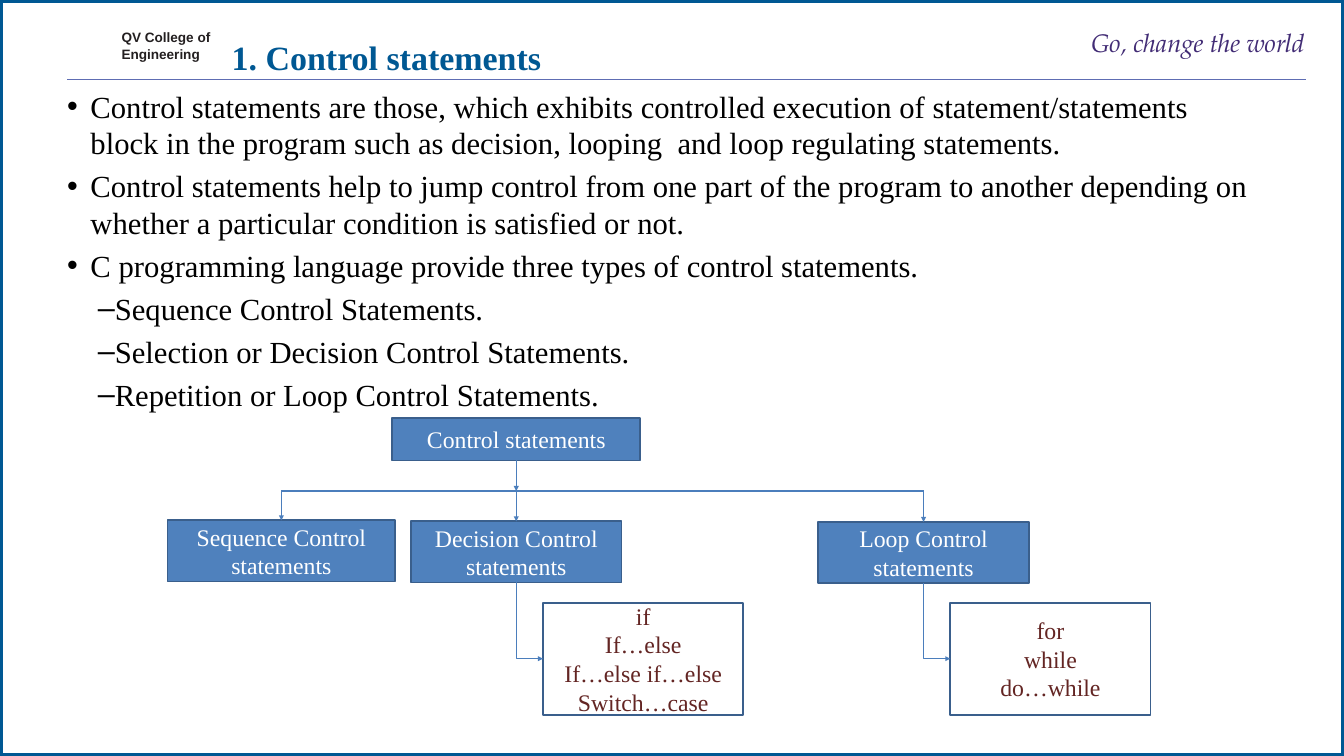
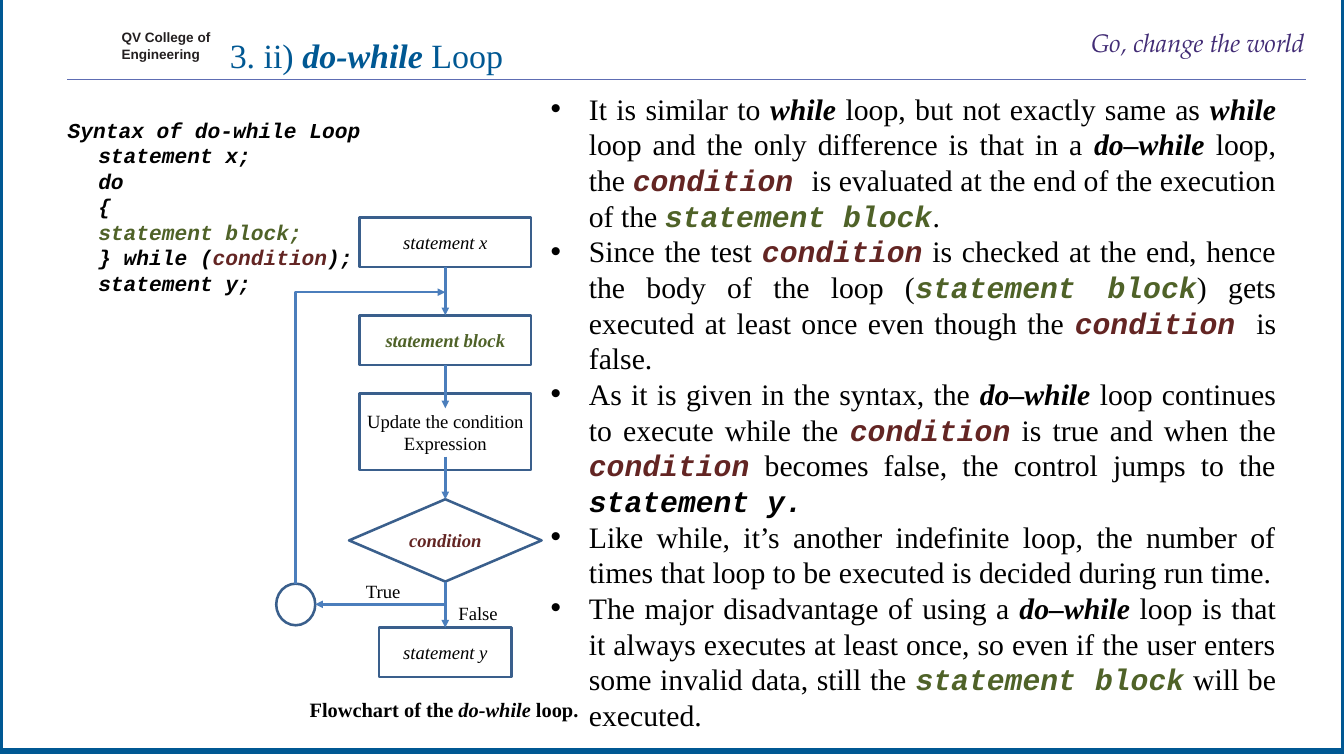
import pptx
import pptx.util
import pptx.dml.color
import pptx.enum.shapes
import pptx.enum.text
import pptx.oxml.ns
from lxml import etree

Pt = pptx.util.Pt
qn = pptx.oxml.ns.qn
SHAPE = pptx.enum.shapes.MSO_SHAPE
CONNECTOR = pptx.enum.shapes.MSO_CONNECTOR
ALIGN = pptx.enum.text.PP_ALIGN
ANCHOR = pptx.enum.text.MSO_ANCHOR

WIDTH, HEIGHT = 1583.28, 890.64
SERIF, MONO = "Times New Roman", "Courier New"
COLORS = {
    "white": "FFFFFF", "black": "000000", "navy": "005893", "rule": "5E6DB3",
    "charcoal": "231F20", "violet": "422C75", "blue": "4F81BD",
    "edge": "3A5F8C", "arrow": "4B7EBC", "maroon": "632523", "olive": "4F6228",
}
VOICES = {
    "plain": (SERIF, "black", False, False),
    "bold": (SERIF, "black", True, False),
    "italic": (SERIF, "black", False, True),
    "strong": (SERIF, "black", True, True),
    "node": (SERIF, "white", False, False),
    "choice": (SERIF, "maroon", False, False),
    "condition node": (SERIF, "maroon", True, True),
    "block node": (SERIF, "olive", True, True),
    "code": (MONO, "black", True, True),
    "condition": (MONO, "maroon", True, True),
    "block": (MONO, "olive", True, True),
    "title": (SERIF, "navy", False, False),
    "bold title": (SERIF, "navy", True, False),
    "strong title": (SERIF, "navy", True, True),
    "slogan": ("TeX Gyre Pagella", "violet", False, True),
    "college": ("Arial", "charcoal", True, False),
}


def rgb(name):
    return pptx.dml.color.RGBColor.from_string(COLORS[name])


class Deck:
    def __init__(self):
        self.presentation = pptx.Presentation()
        self.presentation.slide_width = Pt(WIDTH)
        self.presentation.slide_height = Pt(HEIGHT)
        self.slide = None

    def start(self, title, title_left, title_top, frame_top=0):
        layout = self.presentation.slide_layouts[1]
        self.slide = self.presentation.slides.add_slide(layout)
        frame = self.box(0, frame_top, WIDTH, HEIGHT, fill="white",
                         edge="navy", weight=6)
        self.slide.shapes._spTree.insert(2, frame._element)
        self.line((79.2, 93.6), (1538, 93.6), 1.25, color="rule", head=False)
        college = self.text(143.3, 34.6, 108, 39, ["QV College of", "Engineering"],
                            16, "college", inset=(0, 1.4), wrap=False)
        for paragraph in college.text_frame.paragraphs:
            paragraph.line_spacing = Pt(17.9)
            paragraph.space_before = Pt(1.4)
        self.text(1247.8, 32.4, 289.4, 36.7, ["Go, change the world"], 30,
                  "slogan", ALIGN.RIGHT, inset=(0, 0))
        self.place(self.slide.shapes.title, title_left, title_top, 960, 50)
        self.set_text(self.slide.shapes.title, [title], 40, "title", ALIGN.LEFT, (0, 0))

    def place(self, shape, left, top, width, height):
        shape.left, shape.top = Pt(left), Pt(top)
        shape.width, shape.height = Pt(width), Pt(height)

    def set_text(self, shape, paragraphs, size, voice, align, inset=(7.2, 3.6),
                 anchor=ANCHOR.TOP, wrap=True):
        frame = shape.text_frame
        frame.auto_size = pptx.enum.text.MSO_AUTO_SIZE.NONE
        frame.word_wrap = wrap
        frame.vertical_anchor = anchor
        frame.margin_left = frame.margin_right = Pt(inset[0])
        frame.margin_top = frame.margin_bottom = Pt(inset[1])
        for number, content in enumerate(paragraphs):
            paragraph = frame.add_paragraph() if number else frame.paragraphs[0]
            paragraph.alignment = align
            runs = [(content, voice)] if isinstance(content, str) else content
            for wording, run_voice in runs:
                run = paragraph.add_run()
                run.text = wording
                font, color, bold, italic = VOICES[run_voice]
                run.font.name = font
                run.font.size = Pt(size)
                run.font.bold, run.font.italic = bold, italic
                run.font.color.rgb = rgb(color)

    def text(self, left, top, width, height, paragraphs, size, voice="plain",
             align=ALIGN.LEFT, inset=(7.2, 3.6), wrap=True):
        box = self.slide.shapes.add_textbox(Pt(left), Pt(top), Pt(width), Pt(height))
        self.set_text(box, paragraphs, size, voice, align, inset, wrap=wrap)
        return box

    def indent(self, paragraph, margin, hanging=0, bullet=None):
        properties = paragraph._p.get_or_add_pPr()
        properties.set("marL", str(Pt(margin)))
        properties.set("indent", str(Pt(-hanging)))
        if bullet:
            etree.SubElement(properties, qn("a:buChar")).set("char", bullet)

    def bullets(self, left, top, width, height, items, size, align, hanging,
                subitems=(), inset=(0, 0), gap=None):
        body = self.slide.placeholders[1]
        self.place(body, left, top, width, height)
        self.set_text(body, [*items, *subitems], size, "plain", align, inset)
        for number, paragraph in enumerate(body.text_frame.paragraphs):
            if gap is not None:
                paragraph.space_before = Pt(gap)
            if number < len(items):
                self.indent(paragraph, hanging, hanging, "•")
            else:
                paragraph.level = 1
                self.indent(paragraph, 36, 0, "–")

    def box(self, left, top, width, height, paragraphs=(), voice="plain", size=28,
            fill=None, edge="edge", weight=2, kind=SHAPE.RECTANGLE):
        shape = self.slide.shapes.add_shape(kind, Pt(left), Pt(top),
                                            Pt(width), Pt(height))
        shape.shadow.inherit = False
        if fill:
            shape.fill.solid()
            shape.fill.fore_color.rgb = rgb(fill)
        else:
            shape.fill.background()
        shape.line.color.rgb = rgb(edge)
        shape.line.width = Pt(weight)
        self.set_text(shape, paragraphs, size, voice, ALIGN.CENTER,
                      anchor=ANCHOR.MIDDLE)
        return shape

    def style(self, connector, weight, color="arrow", head=True):
        connector.line.color.rgb = rgb(color)
        connector.line.width = Pt(weight)
        if head:
            tip = etree.SubElement(connector.line._get_or_add_ln(), qn("a:tailEnd"))
            tip.set("type", "triangle")
        etree.SubElement(connector._element.spPr, qn("a:effectLst"))

    def line(self, start, end, weight, above=None, below=None, color="arrow", head=True):
        connector = self.slide.shapes.add_connector(
            CONNECTOR.STRAIGHT, *(Pt(value) for value in (*start, *end)))
        if above is not None:
            connector.begin_connect(above, 2)
        if below is not None:
            connector.end_connect(below, 0)
        self.style(connector, weight, color, head)

    def elbow(self, start, end, weight):
        run, rise = end[0] - start[0], end[1] - start[1]
        middle_x, middle_y = start[0] + run / 2, start[1] + rise / 2
        connector = self.slide.shapes.add_connector(
            CONNECTOR.ELBOW,
            Pt(middle_x + rise / 2), Pt(middle_y - run / 2),
            Pt(middle_x - rise / 2), Pt(middle_y + run / 2))
        properties = connector._element.spPr
        properties.find(qn("a:xfrm")).set("rot", "16200000")
        properties.find(qn("a:prstGeom")).set("prst", "bentConnector2")
        self.style(connector, weight)


def control_statements(deck):
    deck.start([("1. Control statements", "bold title")], 273, 43)
    deck.bullets(79.2, 103, 1408, 374, [
        "Control statements are those, which exhibits controlled execution of "
        "statement/statements block in the program such as decision, looping  and "
        "loop regulating statements.",
        "Control statements help to jump control from one part of the program to "
        "another depending on whether a particular condition is satisfied or not.",
        "C programming language provide three types of control statements.",
    ], 36.1, ALIGN.LEFT, 27.4, subitems=[
        "Sequence Control Statements.",
        "Selection or Decision Control Statements.",
        "Repetition or Loop Control Statements.",
    ])
    trunk, branch_y = 608.2, 578.5
    root = deck.box(trunk - 146, 492.5, 292, 50, ["Control statements"], "node",
                    fill="blue")
    deck.line((trunk, 542.5), (trunk, branch_y), 1.5, above=root)
    branches = [
        ("Sequence", 331.5, 613, 268, ()),
        ("Decision", trunk, 614.2, 248,
         ("if", "If…else", "If…else if…else", "Switch…case")),
        ("Loop", 1088, 614.9, 248, ("for", "while", "do…while")),
    ]
    deck.line((branches[0][1], branch_y), (branches[-1][1], branch_y), 1.5, head=False)
    for family, center, top, width, choices in branches:
        node = deck.box(center - width / 2, top, width, 72,
                        [f"{family} Control statements"], "node", fill="blue")
        deck.line((center, branch_y), (center, top), 1.5, below=node)
        if choices:
            deck.box(center + 31.5, 710, 236, 132, choices, "choice")
            deck.elbow((center, top + 72), (center + 31.5, 776), 0.75)


def do_while_loop(deck):
    deck.start([("3. ii) ", "title"), ("do-while", "strong title"), (" Loop", "title")],
               270.7, 40.3, frame_top=-5.8)
    deck.bullets(641.5, 103, 869, 770, [
        [("It is similar to ", "plain"), ("while", "strong"),
         (" loop, but not exactly same as ", "plain"), ("while", "strong"),
         (" loop and the only difference is that in a ", "plain"),
         ("do–while ", "strong"), ("loop, the ", "plain"), ("condition ", "condition"),
         ("is evaluated at the end of the execution of the ", "plain"),
         ("statement block", "block"), (".", "plain")],
        [("Since the test ", "plain"), ("condition", "condition"),
         (" is checked at the end, hence the body of the loop (", "plain"),
         ("statement block", "block"),
         (") gets executed at least once even though the ", "plain"),
         ("condition ", "condition"), ("is false.", "plain")],
        [("As it is given in the syntax, the ", "plain"), ("do–while", "strong"),
         (" loop continues to execute while the ", "plain"), ("condition", "condition"),
         (" is true and when the ", "plain"), ("condition", "condition"),
         (" becomes false, the control jumps to the ", "plain"),
         ("statement y.", "code")],
        "Like while, it’s another indefinite loop, the number of times that loop to "
        "be executed is decided during run time.",
        [("The major disadvantage of using a ", "plain"), ("do–while", "strong"),
         (" loop is that it always executes at least once, so even if the user enters "
          "some invalid data, still the ", "plain"), ("statement block", "block"),
         (" will be executed.", "plain")],
    ], 35, ALIGN.JUSTIFY, 45, inset=(7.2, 3.6), gap=0)

    syntax = deck.text(72.7, 134.6, 413, 227.5, [
        "Syntax of do-while Loop", "statement x;", "do", "{",
        [("statement block;", "block")],
        [("} while (", "code"), ("condition", "condition"), (");", "code")],
        "statement y;",
    ], 25, "code")
    for code_line in syntax.text_frame.paragraphs[1:]:
        deck.indent(code_line, 36)

    axis, weight = 524.6, 3

    def step(top, width, height, wording, voice, kind=SHAPE.RECTANGLE):
        return deck.box(axis - width / 2, top, width, height, [wording], voice, 22,
                        weight=weight, kind=kind)

    before = step(256.3, 201.6, 58.3, "statement x", "italic")
    block = step(371.5, 201.6, 58.3, "statement block", "block node")
    step(463.7, 201.6, 90, "Update the condition Expression", "plain")
    test = step(588.2, 226.8, 97, "condition", "condition node", SHAPE.DIAMOND)
    after = step(739.4, 156.2, 58.3, "statement y", "italic")
    deck.box(325.4, 687.6, 46, 49, weight=weight, kind=SHAPE.OVAL)

    deck.line((axis, 314.6), (axis, 371.5), weight, above=before, below=block)
    deck.line((axis, 429.8), (axis, 481), weight, above=block)
    deck.line((axis, 538), (axis, 588.2), weight, below=test)
    deck.line((axis, 685.2), (axis, 739.4), weight, above=test, below=after)
    deck.line((axis, 712), (371.4, 712), weight)
    deck.elbow((348.4, 687.6), (axis, 344.2), weight)
    for outcome, left, top in (("True", 424, 679), ("False", 533, 705.6)):
        deck.text(left, top, 77, 34, [outcome], 22, wrap=False)
    deck.text(302.4, 817.2, 441.4, 36, [
        [("Flowchart of the ", "bold"), ("do-while", "strong"), (" loop.", "bold")],
    ], 24, align=ALIGN.CENTER)


def main():
    deck = Deck()
    control_statements(deck)
    do_while_loop(deck)
    deck.presentation.save("out.pptx")


if __name__ == "__main__":
    main()
